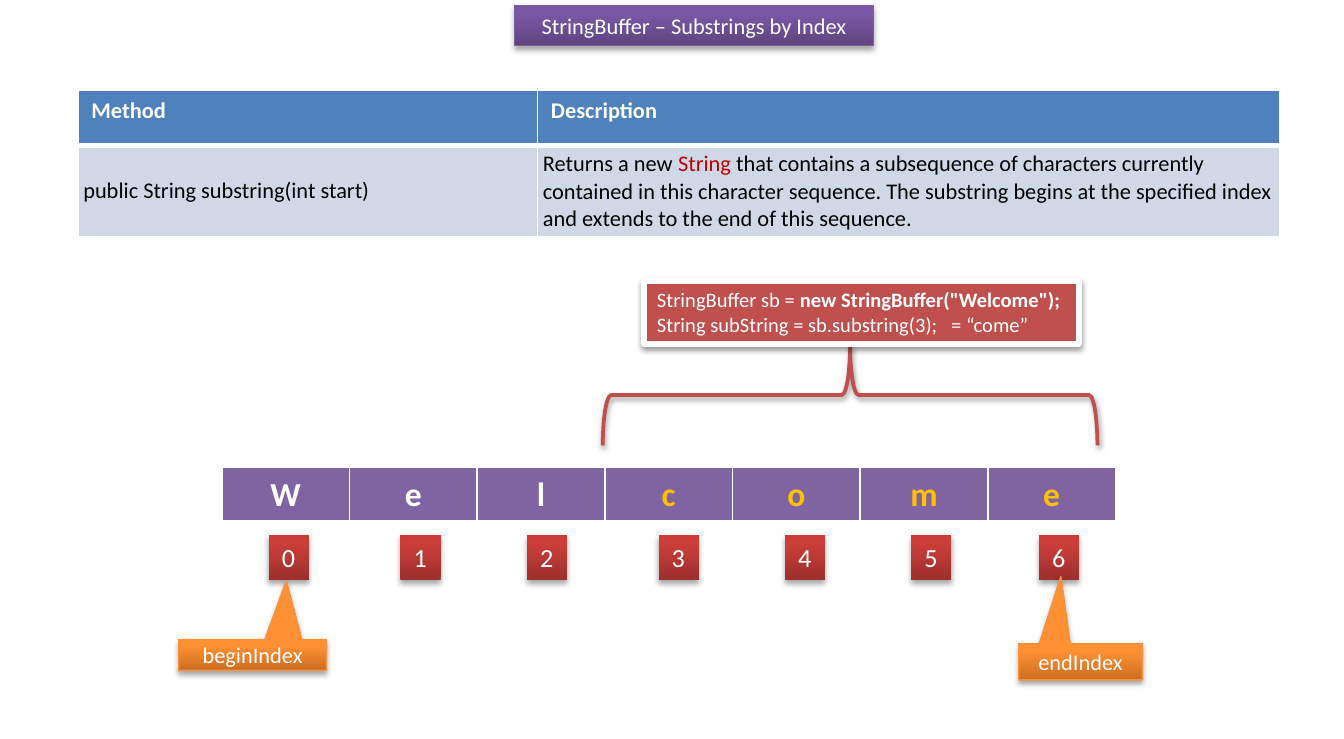
from copy import deepcopy

from lxml.etree import SubElement
from pptx import Presentation
from pptx.dml.color import RGBColor
from pptx.enum.shapes import MSO_SHAPE as Shape
from pptx.enum.text import MSO_ANCHOR as Anchor
from pptx.enum.text import MSO_AUTO_SIZE as AutoSize
from pptx.enum.text import PP_ALIGN as Align
from pptx.oxml.ns import qn
from pptx.util import Inches, Pt

WHITE = RGBColor(0xFF, 0xFF, 0xFF)
BLACK = RGBColor(0x00, 0x00, 0x00)
RED = RGBColor(0xC0, 0x00, 0x00)
BRICK = RGBColor(0xC0, 0x50, 0x4D)
GOLD = RGBColor(0xFF, 0xC0, 0x00)
BLUE = RGBColor(0x4F, 0x81, 0xBD)
PALE_BLUE = RGBColor(0xD0, 0xD8, 0xE8)
PURPLE = RGBColor(0x80, 0x64, 0xA2)
PURPLE_EDGE = RGBColor(0x7D, 0x60, 0xA0)
ORANGE_EDGE = RGBColor(0xF6, 0x92, 0x40)
PURPLE_SHADES = [RGBColor(0x5F, 0x44, 0x80), RGBColor(0x7B, 0x58, 0xA6), RGBColor(0x7C, 0x57, 0xA8)]
RED_SHADES = [RGBColor(0x9C, 0x2F, 0x2D), RGBColor(0xCB, 0x3E, 0x3A), RGBColor(0xCE, 0x3B, 0x37)]
ORANGE_SHADES = [RGBColor(0xCC, 0x6E, 0x20), RGBColor(0xFF, 0x90, 0x34), RGBColor(0xFF, 0x91, 0x36)]


class SlideBuilder:
    font = "Calibri"
    stops = (0, 0.8, 1)

    def __init__(self, slide):
        self.slide = slide

    def add_text(self, frame, paragraphs, size, align=Align.LEFT):
        for i, runs in enumerate(paragraphs):
            paragraph = frame.paragraphs[0] if i == 0 else frame.add_paragraph()
            paragraph.alignment = align
            for text, color, bold in runs:
                run = paragraph.add_run()
                run.text = text
                run.font.name = self.font
                run.font.size = Pt(size)
                run.font.color.rgb = color
                run.font.bold = bold

    def shade(self, shape, colors):
        shape.fill.gradient()
        shape.fill.gradient_angle = 90
        stop_list = shape.element.spPr.find(qn("a:gradFill")).find(qn("a:gsLst"))
        stop_list.append(deepcopy(stop_list[0]))
        for stop, position, color in zip(shape.fill.gradient_stops, self.stops, colors):
            stop.position = position
            stop.color.rgb = color

    def cast_shadow(self, shape, distance, opacity):
        shape.shadow.inherit = False
        effects = shape.element.spPr.find(qn("a:effectLst"))
        shadow = SubElement(effects, qn("a:outerShdw"), blurRad=str(Pt(3.1)),
                            dist=str(Pt(distance)), dir="5400000", rotWithShape="0")
        color = SubElement(shadow, qn("a:srgbClr"), val="000000")
        SubElement(color, qn("a:alpha"), val=str(opacity * 1000))

    def shape(self, kind, box, fill=None, line=None, width=0.75, distance=1.8, opacity=35):
        shape = self.slide.shapes.add_shape(kind, *map(Inches, box))
        if isinstance(fill, list):
            self.shade(shape, fill)
        elif fill is not None:
            shape.fill.solid()
            shape.fill.fore_color.rgb = fill
        else:
            shape.fill.background()
        if line is None:
            shape.line.fill.background()
        else:
            shape.line.color.rgb = line
            shape.line.width = Pt(width)
        self.cast_shadow(shape, distance, opacity)
        return shape

    def label(self, box, paragraphs, size, align=Align.LEFT, wrap=False, **look):
        frame = self.shape(Shape.RECTANGLE, box, **look).text_frame
        frame.word_wrap = wrap
        frame.auto_size = AutoSize.SHAPE_TO_FIT_TEXT
        frame.vertical_anchor = Anchor.TOP
        self.add_text(frame, paragraphs, size, align)

    def callout(self, box, tip, text):
        callout = self.shape(Shape.RECTANGULAR_CALLOUT, box, ORANGE_SHADES, ORANGE_EDGE)
        callout.adjustments[0], callout.adjustments[1] = tip
        callout.text_frame.vertical_anchor = Anchor.MIDDLE
        self.add_text(callout.text_frame, [[(text, WHITE, False)]], 12, Align.CENTER)

    def brace(self, box):
        brace = self.shape(Shape.LEFT_BRACE, box, line=BRICK, width=2, distance=1.6, opacity=38)
        brace.rotation = 90

    def table(self, left, top, widths, heights):
        table = self.slide.shapes.add_table(
            len(heights), len(widths), Inches(left), Inches(top),
            Inches(sum(widths)), Inches(sum(heights))).table
        for column, width in zip(table.columns, widths):
            column.width = Inches(width)
        for row, height in zip(table.rows, heights):
            row.height = Inches(height)
        return table

    def cell(self, cell, runs, fill, size, align=Align.LEFT, bottom=3, margin=None):
        if margin is not None:
            cell.vertical_anchor = Anchor.MIDDLE
            cell.margin_left = cell.margin_right = Inches(margin)
            cell.margin_top = cell.margin_bottom = Inches(margin)
        self.add_text(cell.text_frame, [runs], size, align)
        properties = cell._tc.get_or_add_tcPr()
        for side, width in (("L", 1), ("R", 1), ("T", 1), ("B", bottom)):
            border = SubElement(properties, qn(f"a:ln{side}"), w=str(Pt(width)))
            SubElement(SubElement(border, qn("a:solidFill")), qn("a:srgbClr"), val=str(WHITE))
        cell.fill.solid()
        cell.fill.fore_color.rgb = fill


def main():
    deck = Presentation()
    deck.slide_width, deck.slide_height = Inches(10), Inches(5.5)
    page = SlideBuilder(deck.slides.add_slide(deck.slide_layouts[6]))

    page.label((3.83, 0.04, 2.67, 0.3), [[("StringBuffer – Substrings by Index", WHITE, False)]],
               12, Align.CENTER, True, fill=PURPLE_SHADES, line=PURPLE_EDGE)

    word, start = "Welcome", 3
    letters = page.table(1.65, 3.48, [0.95] * len(word), [0.41])
    for i, letter in enumerate(word):
        color = WHITE if i < start else GOLD
        page.cell(letters.cell(0, i), [(letter, color, True)], PURPLE, 18, Align.CENTER)

    for index, left in enumerate((2, 2.98, 3.92, 4.9, 5.84, 6.78, 7.73)):
        page.label((left, 3.98, 0.3, 0.34), [[(str(index), WHITE, False)]], 14, fill=RED_SHADES)

    page.callout((1.33, 4.76, 1.1, 0.23), (0.228, -2.396), "beginIndex")
    page.callout((7.58, 4.79, 0.92, 0.27), (-0.159, -2.347), "endIndex")

    page.brace((5.95, 1.1, 0.75, 3.68))
    code = [
        [("StringBuffer sb = ", WHITE, False), ('new StringBuffer("Welcome");', WHITE, True)],
        [("String subString = sb.substring(3);   = “come”", WHITE, False)],
    ]
    page.label((4.79, 2.09, 3.24, 0.47), code, 11, fill=BRICK, line=WHITE, width=3,
               distance=1.6, opacity=38)

    methods = page.table(0.58, 0.67, [3.42, 5.52], [0.41, 0.68])
    for column, heading in enumerate(("Method", "Description")):
        page.cell(methods.cell(0, column), [(heading, WHITE, True)], BLUE, 12)
    signature = [("public String substring(int start)", BLACK, False)]
    description = [
        ("Returns a new ", BLACK, False),
        ("String", RED, False),
        (" that contains a subsequence of characters currently contained in this character "
         "sequence. The substring begins at the specified index and extends to the end of "
         "this sequence.", BLACK, False),
    ]
    for column, runs in enumerate((signature, description)):
        page.cell(methods.cell(1, column), runs, PALE_BLUE, 12, bottom=1, margin=0.04)

    deck.save("out.pptx")


if __name__ == "__main__":
    main()
